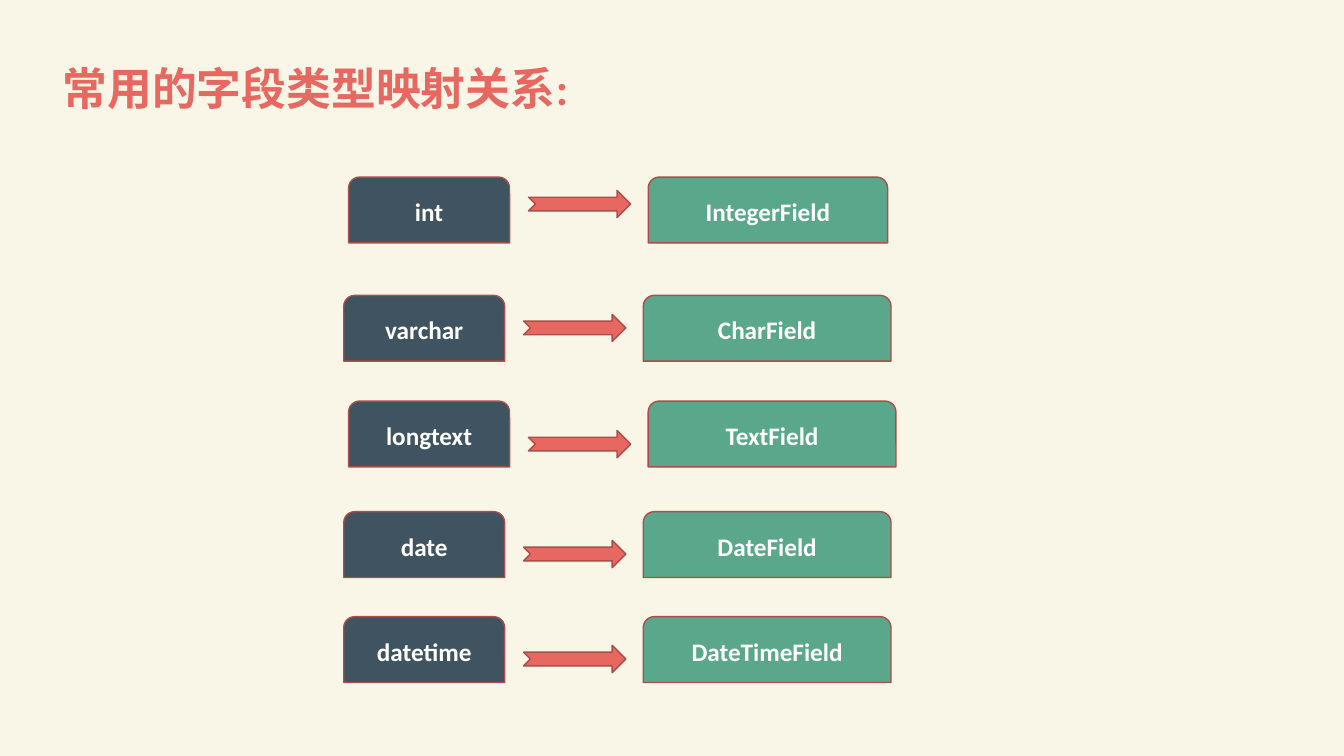
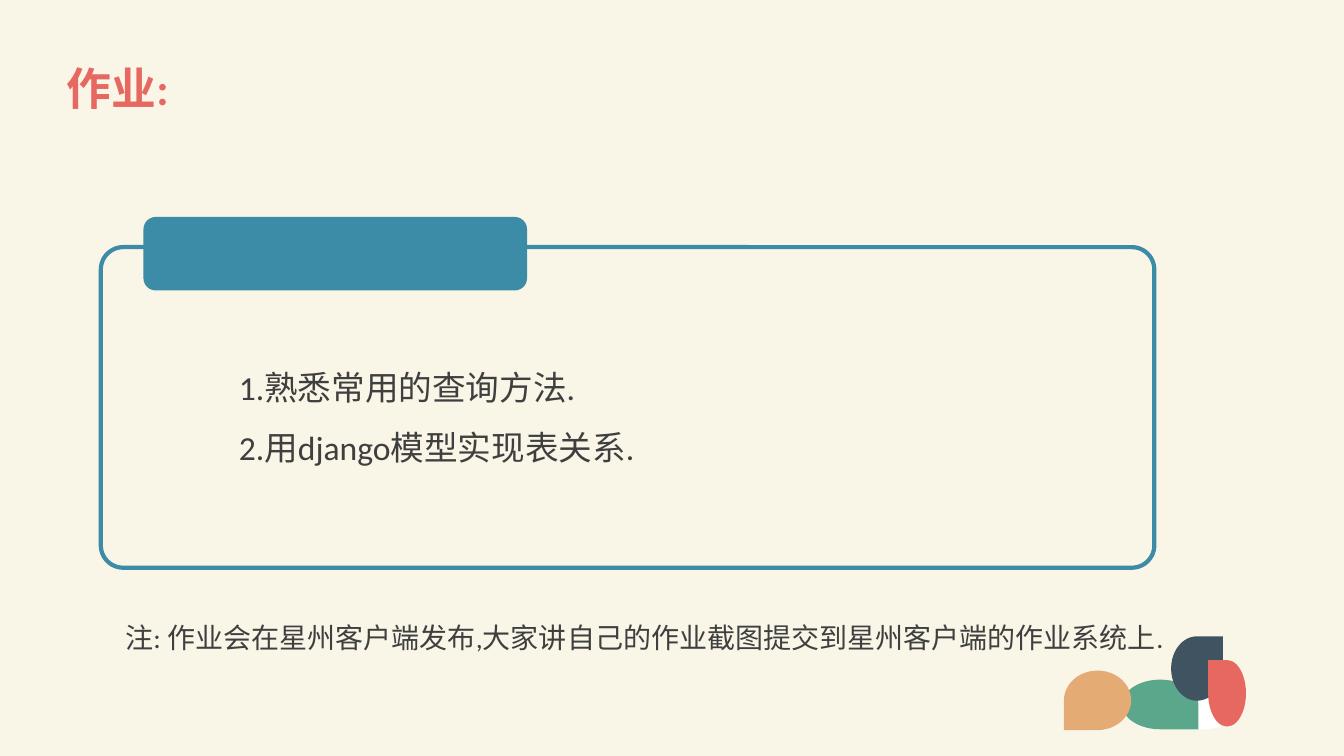
import pptx
import pptx.util
import pptx.dml.color
import pptx.enum.lang
import pptx.enum.shapes
import pptx.enum.text

Pt = pptx.util.Pt
RGBColor = pptx.dml.color.RGBColor
Shape = pptx.enum.shapes.MSO_SHAPE
Align = pptx.enum.text.PP_ALIGN
Anchor = pptx.enum.text.MSO_ANCHOR

CREAM = RGBColor(0xF9, 0xF6, 0xE7)
CORAL = RGBColor(0xE7, 0x68, 0x61)
BRICK = RGBColor(0xAB, 0x4D, 0x48)
NAVY = RGBColor(0x3F, 0x53, 0x61)
GREEN = RGBColor(0x5B, 0xA7, 0x8C)
BLUE = RGBColor(0x3C, 0x8B, 0xA7)
SAND = RGBColor(0xE5, 0xAB, 0x74)
GREY = RGBColor(0x3F, 0x3F, 0x3F)
WHITE = RGBColor(0xFF, 0xFF, 0xFF)

FIELD_ROWS = [
    ("int", "IntegerField", 249, 126.5, 9.5, 171),
    ("varchar", "CharField", 245.5, 211, 13.5, 177),
    ("longtext", "TextField", 249, 286.5, 21, 177),
    ("date", "DateField", 245.5, 365.5, 20.5, 177),
    ("datetime", "DateTimeField", 245.5, 440.5, 20.5, 177),
]

PETALS = [
    (801.5, 485.5, 54.5, 35.5, GREEN, ["flipV"]),
    (836.5, 454.5, 37, 46, NAVY, []),
    (863, 471.5, 27, 47.5, CORAL, ["flipH"]),
    (760, 479, 48, 42.5, SAND, ["flipH", "flipV"]),
]


class SlideBuilder:
    """Holds the deck style and draws elements on the current slide."""

    font_name = "Calibri"

    def __init__(self):
        self.deck = pptx.Presentation()
        self.deck.slide_width = Pt(960)
        self.deck.slide_height = Pt(540)
        self.page = None

    def new_page(self, title, left):
        self.page = self.deck.slides.add_slide(self.deck.slide_layouts[6])
        fill = self.page.background.fill
        fill.solid()
        fill.fore_color.rgb = CREAM
        self.text(left, 26.5, 885, 76.5, [title], 32, CORAL,
                  bold=True, spacing=0.9, anchor=Anchor.MIDDLE)

    def add_lines(self, frame, lines, size, color, bold=False, spacing=None, align=Align.LEFT):
        for index, line in enumerate(lines):
            para = frame.add_paragraph() if index else frame.paragraphs[0]
            para.alignment = align
            para.line_spacing = spacing
            span = para.add_run()
            span.text = line
            span.font.name = self.font_name
            span.font.size = Pt(size)
            span.font.bold = bold
            span.font.color.rgb = color
            span.font.language_id = pptx.enum.lang.MSO_LANGUAGE_ID.SIMPLIFIED_CHINESE

    def text(self, left, top, width, height, lines, size, color,
             bold=False, spacing=None, anchor=Anchor.TOP):
        box = self.page.shapes.add_textbox(Pt(left), Pt(top), Pt(width), Pt(height))
        box.text_frame.word_wrap = True
        box.text_frame.vertical_anchor = anchor
        self.add_lines(box.text_frame, lines, size, color, bold, spacing)

    def shape(self, kind, left, top, width, height, fill=None, line=None, weight=1):
        shape = self.page.shapes.add_shape(kind, Pt(left), Pt(top), Pt(width), Pt(height))
        shape.shadow.inherit = False
        if fill is None:
            shape.fill.background()
        else:
            shape.fill.solid()
            shape.fill.fore_color.rgb = fill
        if line is None:
            shape.line.fill.background()
        else:
            shape.line.color.rgb = line
            shape.line.width = Pt(weight)
        return shape

    def label(self, left, top, width, caption, fill):
        tab = self.shape(Shape.ROUND_2_SAME_RECTANGLE, left, top, width, 47, fill, BRICK)
        tab.text_frame.vertical_anchor = Anchor.MIDDLE
        self.add_lines(tab.text_frame, [caption], 18, WHITE, bold=True, align=Align.CENTER)

    def mapping(self, column, field, left, top, arrow_drop, field_width):
        self.label(left, top, 115, column, NAVY)
        self.label(left + 214, top, field_width, field, GREEN)
        self.shape(Shape.NOTCHED_RIGHT_ARROW, left + 128.5, top + arrow_drop,
                   73, 19.5, CORAL, BRICK)

    def petal(self, left, top, width, height, fill, flips):
        petal = self.shape(Shape.TEAR, left, top, width, height, fill)
        for flip in flips:
            petal._element.spPr.xfrm.set(flip, "1")


def main():
    builder = SlideBuilder()

    builder.new_page("常用的字段类型映射关系:", 37.5)
    for row in FIELD_ROWS:
        builder.mapping(*row)

    builder.new_page("作业:", 40.5)
    builder.shape(Shape.OVAL, 838, 499.5, 43, 21.5, WHITE)
    for petal in PETALS:
        builder.petal(*petal)
    frame = builder.shape(Shape.ROUNDED_RECTANGLE, 72, 176.5, 752.5, 229, line=BLUE, weight=3)
    frame.adjustments[0] = 0.07
    builder.shape(Shape.ROUNDED_RECTANGLE, 102.5, 155, 274, 52.5, BLUE)
    builder.text(163.5, 244, 295, 94.5,
                 ["1.熟悉常用的查询方法.", "2.用django模型实现表关系."], 24, GREY, spacing=1.5)
    builder.text(82.5, 440, 754, 31.5,
                 ["注: 作业会在星州客户端发布,大家讲自己的作业截图提交到星州客户端的作业系统上."],
                 20, GREY)

    builder.deck.save("out.pptx")


if __name__ == "__main__":
    main()
